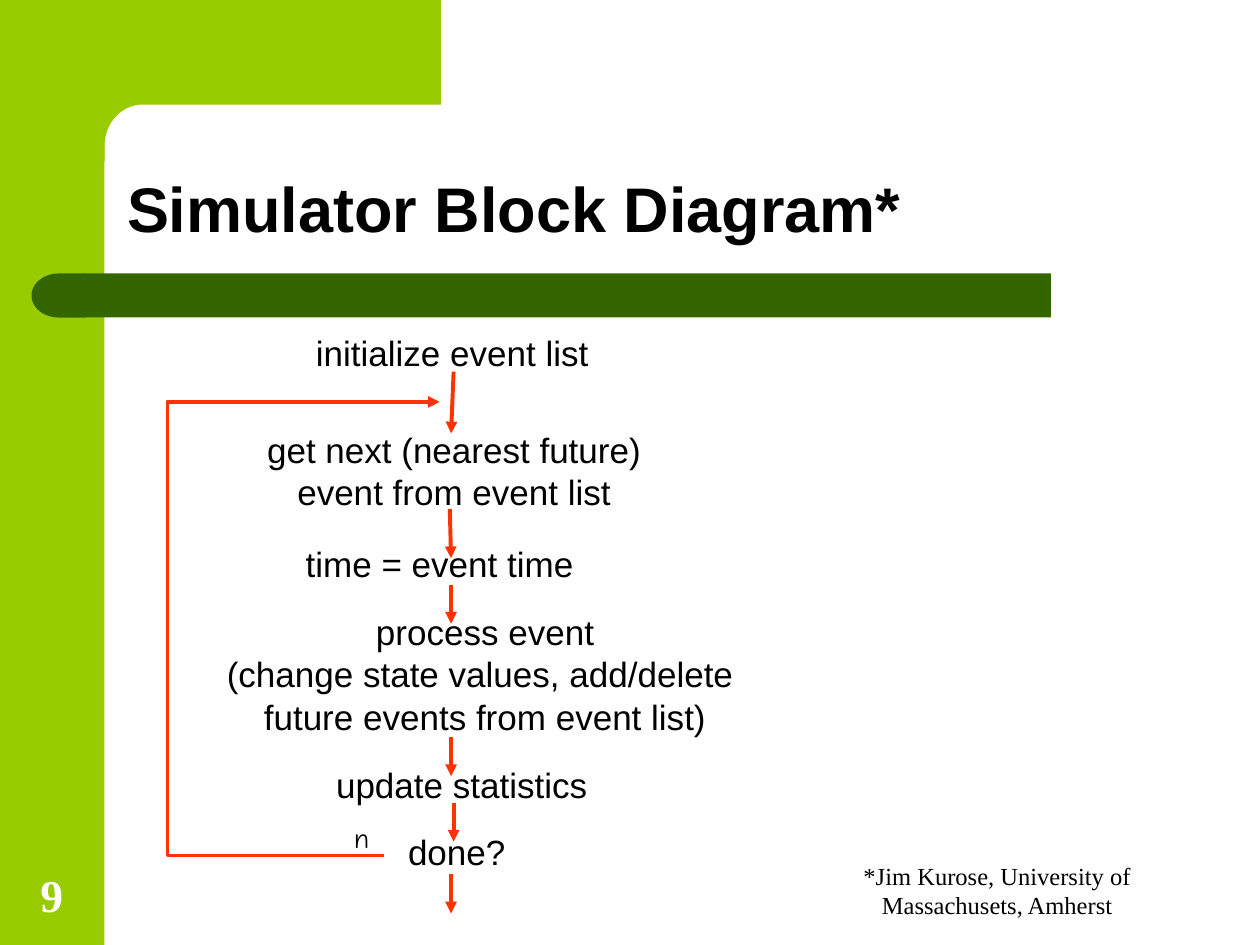
from math import cos, pi, sin

from lxml.etree import SubElement
from pptx import Presentation
from pptx.dml.color import RGBColor
from pptx.enum.shapes import MSO_CONNECTOR, MSO_SHAPE
from pptx.enum.text import MSO_ANCHOR, MSO_AUTO_SIZE, PP_ALIGN
from pptx.oxml.ns import qn
from pptx.util import Inches, Pt

THEME = {
    "lime": RGBColor(0x99, 0xCC, 0x00),
    "green": RGBColor(0x33, 0x66, 0x00),
    "arrow": RGBColor(0xFF, 0x33, 0x00),
    "black": RGBColor(0, 0, 0),
    "white": RGBColor(0xFF, 0xFF, 0xFF),
    "sans": "Arial",
    "serif": "Times New Roman",
    "comic": "Comic Neue",
    "title": 36,
    "number": 26,
    "step": 20,
    "label": 16,
    "note": 14,
    "line": 2.25,
}

TITLE = "Simulator Block Diagram*"
CREDIT = "*Jim Kurose, University of Massachusets, Amherst"
PAGE_NUMBER = "9"

# Lines of the step, then left, top, width, height
STEPS = [
    (["initialize event list"], (2.39, 2.58, 2.4, 0.44)),
    (["get next (nearest future)", "event from event list"], (2.02, 3.35, 3.17, 0.77)),
    (["time = event time"], (2.31, 4.26, 2.36, 0.44)),
    (["process event", "(change state values, add/delete ",
      "future events from event list)"], (1.7, 4.8, 4.3, 1.1)),
    (["update statistics"], (2.55, 6.01, 2.23, 0.44)),
    (["done?"], (3.12, 6.54, 1.01, 0.44)),
]
# Start x, start y, end x, end y
ARROWS = [
    (3.6, 2.95, 3.58, 3.44),
    (3.57, 4.04, 3.58, 4.43),
    (3.58, 4.64, 3.58, 4.95),
    (3.58, 5.85, 3.58, 6.16),
    (3.6, 6.37, 3.6, 6.68),
    (3.58, 6.94, 3.58, 7.25),
]
LOOP_BACK = [(3.05, 6.79), (1.33, 6.79), (1.33, 3.19), (3.49, 3.19)]


def add_block(page, preset, place, color):
    block = page.shapes.add_shape(preset, *map(Inches, place))
    block.shadow.inherit = False
    block.fill.solid()
    block.fill.fore_color.rgb = color
    block.line.fill.background()
    return block


def add_outline(page, points, close):
    corners = [(Inches(x), Inches(y)) for x, y in points]
    builder = page.shapes.build_freeform(*corners[0])
    builder.add_line_segments(corners[1:], close=close)
    outline = builder.convert_to_shape()
    outline.shadow.inherit = False
    return outline


def add_text(page, lines, place, size, font="sans", color="black", bold=False,
             align=PP_ALIGN.CENTER, anchor=MSO_ANCHOR.TOP, wrap=False):
    """Add a text box; one that does not wrap grows to fit its text."""
    box = page.shapes.add_textbox(*map(Inches, place))
    frame = box.text_frame
    frame.word_wrap = wrap
    frame.auto_size = MSO_AUTO_SIZE.NONE if wrap else MSO_AUTO_SIZE.SHAPE_TO_FIT_TEXT
    frame.vertical_anchor = anchor
    frame.text = "\n".join(lines)
    for paragraph in frame.paragraphs:
        paragraph.alignment = align
        paragraph.font.name = THEME[font]
        paragraph.font.size = Pt(THEME[size])
        paragraph.font.bold = bold
        paragraph.font.color.rgb = THEME[color]
    return box


def style_arrow(arrow):
    arrow.line.color.rgb = THEME["arrow"]
    arrow.line.width = Pt(THEME["line"])
    SubElement(arrow.line._get_or_add_ln(), qn("a:tailEnd"), type="triangle")


def add_frame(page):
    """Draw the lime side band with its rounded inner corner and the green bar."""
    add_block(page, MSO_SHAPE.RECTANGLE, (0, 0, 0.83, 7.5), THEME["lime"])
    steps = 16
    curve = [(1.13 - 0.3 * sin(pi / 2 * i / steps), 1.16 - 0.33 * cos(pi / 2 * i / steps))
             for i in range(steps + 1)]
    corner = add_outline(
        page, [(0.5, 0), (3.5, 0), (3.5, 0.83), *curve, (0.83, 1.28), (0.5, 1.28)], True)
    corner.fill.solid()
    corner.fill.fore_color.rgb = THEME["lime"]
    corner.line.fill.background()
    add_block(page, MSO_SHAPE.RECTANGLE, (0.67, 2.17, 7.67, 0.35), THEME["green"])
    cap = add_block(page, MSO_SHAPE.FLOWCHART_DELAY, (0.25, 2.17, 0.43, 0.35), THEME["green"])
    cap.rotation = 180


def add_flow(page):
    for lines, place in STEPS:
        add_text(page, lines, place, "step")
    for ends in ARROWS:
        arrow = page.shapes.add_connector(MSO_CONNECTOR.STRAIGHT, *map(Inches, ends))
        style_arrow(arrow)
        SubElement(arrow._element.spPr, qn("a:effectLst"))
    loop = add_outline(page, LOOP_BACK, False)
    loop.fill.background()
    style_arrow(loop)
    add_text(page, ["n"], (2.71, 6.46, 0.32, 0.37), "label", "comic", align=PP_ALIGN.LEFT)


def main():
    deck = Presentation()
    deck.slide_width, deck.slide_height = Inches(10), Inches(7.5)
    page = deck.slides.add_slide(deck.slide_layouts[6])
    add_frame(page)
    add_flow(page)
    bottom = {"anchor": MSO_ANCHOR.BOTTOM, "wrap": True}
    title = add_text(page, [TITLE], (0.91, 0.91, 8.51, 1.09), "title", bold=True,
                     align=PP_ALIGN.LEFT, **bottom)
    title.text_frame.paragraphs[0].line_spacing = 0.9
    add_text(page, [CREDIT], (6.33, 6.83, 3.17, 0.52), "note", "serif", **bottom)
    add_text(page, [PAGE_NUMBER], (0.09, 6.83, 0.64, 0.53), "number", "serif", "white",
             bold=True, **bottom)
    deck.save("out.pptx")


if __name__ == "__main__":
    main()
